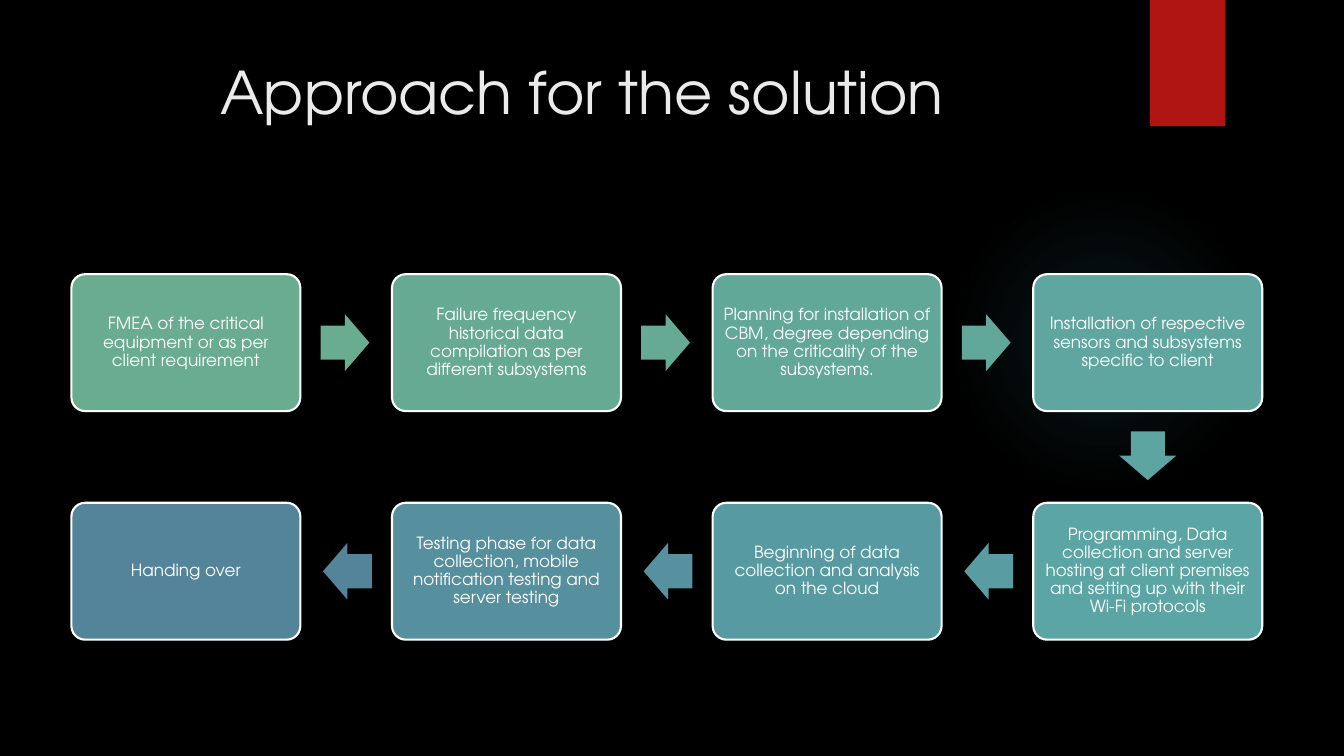
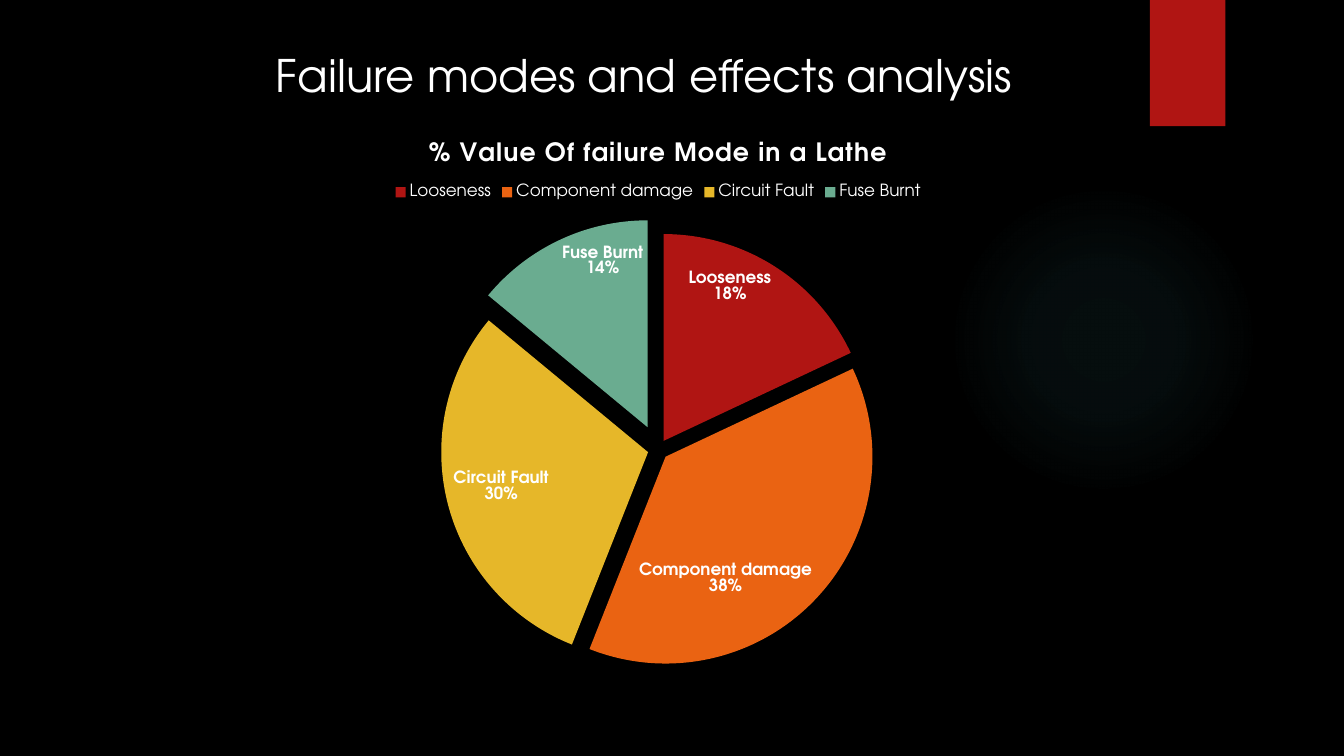
from lxml.etree import SubElement
from pptx import Presentation
from pptx.chart.data import CategoryChartData
from pptx.dml.color import RGBColor
from pptx.enum.chart import XL_CHART_TYPE, XL_LABEL_POSITION, XL_LEGEND_POSITION
from pptx.enum.shapes import MSO_SHAPE
from pptx.enum.text import MSO_ANCHOR, MSO_AUTO_SIZE, PP_ALIGN
from pptx.oxml import parse_xml
from pptx.oxml.ns import nsdecls, qn
from pptx.util import Cm, Pt

FONT = "TeX Gyre Adventor"
BLACK, WHITE, OFF_WHITE = "000000", "FFFFFF", "EBEBEB"
RED, ORANGE, YELLOW, GREEN, TEAL = "B01513", "EA6312", "E6B729", "6AAC90", "50B9C1"


def style_font(font, size, color, bold=False):
    font.name, font.size, font.bold = FONT, Pt(size), bold
    font.color.rgb = RGBColor.from_string(color)


def add_filled_shape(slide, kind, left, top, width, height, color):
    shape = slide.shapes.add_shape(kind, Cm(left), Cm(top), Cm(width), Cm(height))
    shape.shadow.inherit = False
    shape.fill.solid()
    shape.fill.fore_color.rgb = RGBColor.from_string(color)
    shape.line.fill.background()
    return shape


presentation = Presentation()
presentation.slide_width, presentation.slide_height = Cm(33.87), Cm(19.05)

# Shared layout: black background, soft glow, red band
layout = presentation.slide_layouts.get_by_name("Title Only")
layout.background.fill.solid()
layout.background.fill.fore_color.rgb = RGBColor.from_string(BLACK)

titles = [
    # text, left, top, width, height, size, color
    ("Approach for the solution", 1.6, 1.27, 26.14, 3.89, 42, OFF_WHITE),
    ("Failure modes and effects analysis", 4.62, 1.07, 23.24, 1.63, 32, WHITE),
]
slides = [presentation.slides.add_slide(layout) for _ in titles]
flow_slide, chart_slide = slides

glow = add_filled_shape(flow_slide, MSO_SHAPE.OVAL, 23.9, 4.65, 7.82, 7.82, TEAL)
stops = "".join(
    f'<a:gs pos="{position}000"><a:srgbClr val="{TEAL}"><a:alpha val="{alpha}000"/></a:srgbClr></a:gs>'
    for position, alpha in [(0, 7), (36, 6), (69, 0)])
gradient = parse_xml(
    f'<a:gradFill {nsdecls("a")}><a:gsLst>{stops}</a:gsLst><a:path path="circle">'
    '<a:fillToRect l="50000" t="50000" r="50000" b="50000"/></a:path></a:gradFill>')
solid_fill = glow.element.spPr.find(qn("a:solidFill"))
solid_fill.getparent().replace(solid_fill, gradient)
band = add_filled_shape(flow_slide, MSO_SHAPE.RECTANGLE, 28.98, 0, 1.9, 3.18, RED)
for position, shape in enumerate([glow, band], start=2):
    layout.shapes.element.insert(position, shape.element)

# Titles
for slide, (text, left, top, width, height, size, color) in zip(slides, titles):
    title = slide.shapes.title
    title.left, title.top, title.width, title.height = Cm(left), Cm(top), Cm(width), Cm(height)
    frame = title.text_frame
    frame.word_wrap, frame.auto_size = True, MSO_AUTO_SIZE.NONE
    frame.vertical_anchor = MSO_ANCHOR.TOP
    paragraph = frame.paragraphs[0]
    paragraph.alignment = PP_ALIGN.CENTER
    run = paragraph.add_run()
    run.text = text
    style_font(run.font, size, color)

# Process flow: first row runs right, second row runs back left
steps = [
    # text, box color, color of the arrow that follows
    ("FMEA of the critical equipment or as per client requirement", GREEN, GREEN),
    ("Failure frequency historical data compilation as per different subsystems", "66AA94", "66AA95"),
    ("Planning for installation of CBM, degree depending on the criticality of the subsystems.",
     "62A899", "61A89B"),
    ("Installation of respective sensors and subsystems specific to client", "5EA69F", "5DA5A1"),
    ("Programming, Data collection and server hosting at client premises and setting up "
     "with their Wi-Fi protocols", "5BA5A4", "599DA2"),
    ("Beginning of data collection and analysis on the cloud", "589AA1", "57909E"),
    ("Testing phase for data collection, mobile notification testing and server testing",
     "568F9E", "54849A"),
    ("Handing over", "54849A", None),
]
COLUMNS = 4
LEFT, TOP, COLUMN_STEP, ROW_STEP = 1.8, 6.91, 8.08, 5.76
BOX_WIDTH, BOX_HEIGHT = 5.77, 3.45
ARROW_WIDTH, ARROW_HEIGHT, ARROW_GAP = 1.23, 1.43, 0.51

for index, (text, box_color, arrow_color) in enumerate(steps):
    row, column = divmod(index, COLUMNS)
    if row == 1:
        column = COLUMNS - 1 - column
    left, top = LEFT + column * COLUMN_STEP, TOP + row * ROW_STEP
    box = add_filled_shape(flow_slide, MSO_SHAPE.ROUNDED_RECTANGLE, left, top,
                           BOX_WIDTH, BOX_HEIGHT, box_color)
    box.adjustments[0] = 0.1
    box.line.color.rgb = RGBColor.from_string(WHITE)
    box.line.width = Pt(1.5)
    frame = box.text_frame
    frame.word_wrap, frame.vertical_anchor = True, MSO_ANCHOR.MIDDLE
    frame.margin_left = frame.margin_right = frame.margin_top = frame.margin_bottom = Cm(0.13)
    paragraph = frame.paragraphs[0]
    paragraph.alignment, paragraph.line_spacing = PP_ALIGN.CENTER, 0.9
    run = paragraph.add_run()
    run.text = text
    style_font(run.font, 12, WHITE)

    if arrow_color is None:
        continue
    center_x, center_y = left + BOX_WIDTH / 2, top + BOX_HEIGHT / 2
    reach = ARROW_GAP + ARROW_WIDTH / 2
    if index == COLUMNS - 1:
        rotation = 90
        center_y += BOX_HEIGHT / 2 + reach
    else:
        rotation = 180 * row
        center_x += (1 - 2 * row) * (BOX_WIDTH / 2 + reach)
    arrow = add_filled_shape(flow_slide, MSO_SHAPE.RIGHT_ARROW, center_x - ARROW_WIDTH / 2,
                             center_y - ARROW_HEIGHT / 2, ARROW_WIDTH, ARROW_HEIGHT, arrow_color)
    arrow.adjustments[0], arrow.adjustments[1] = 0.6, 0.5
    arrow.rotation = rotation

# Pie chart
chart_data = CategoryChartData()
chart_data.categories = ["Looseness", "Component damage", "Circuit Fault", "Fuse Burnt"]
chart_data.add_series("Series 1", (18, 38, 30, 14))
chart = chart_slide.shapes.add_chart(XL_CHART_TYPE.PIE, Cm(5.23), Cm(2.97), Cm(22.71), Cm(14.55),
                                     chart_data).chart
style_font(chart.font, 10, WHITE)
chart.has_title = True
run = chart.chart_title.text_frame.paragraphs[0].add_run()
run.text = "% Value Of failure Mode in a Lathe"
style_font(run.font, 18, WHITE, bold=True)
run.font._element.set("spc", "80")
chart.has_legend = True
chart.legend.position, chart.legend.include_in_layout = XL_LEGEND_POSITION.TOP, False
style_font(chart.legend.font, 12, WHITE)

plot = chart.plots[0]
plot.vary_by_categories = True
series = plot.series[0]
for index, color in enumerate([RED, ORANGE, YELLOW, GREEN]):
    fill = series.points[index].format.fill
    fill.solid()
    fill.fore_color.rgb = RGBColor.from_string(color)

labels = series.data_labels
labels.show_category_name = labels.show_percentage = True
labels.show_value = False
labels.number_format, labels.number_format_is_linked = "0%", False
labels.position = XL_LABEL_POSITION.INSIDE_END
style_font(labels.font, 12, WHITE, bold=True)
separator = SubElement(labels._element, qn("c:separator"))
separator.text = "\n"
labels._element.find(qn("c:showBubbleSize")).addnext(separator)

# Slices pulled apart, the last one further
data_points = series._element.findall(qn("c:dPt"))
for anchor, distance in [(data_points[0].getprevious(), 5),
                         (data_points[-1].find(qn("c:idx")), 12)]:
    anchor.addnext(parse_xml(f'<c:explosion {nsdecls("c")} val="{distance}"/>'))

presentation.save("out.pptx")
